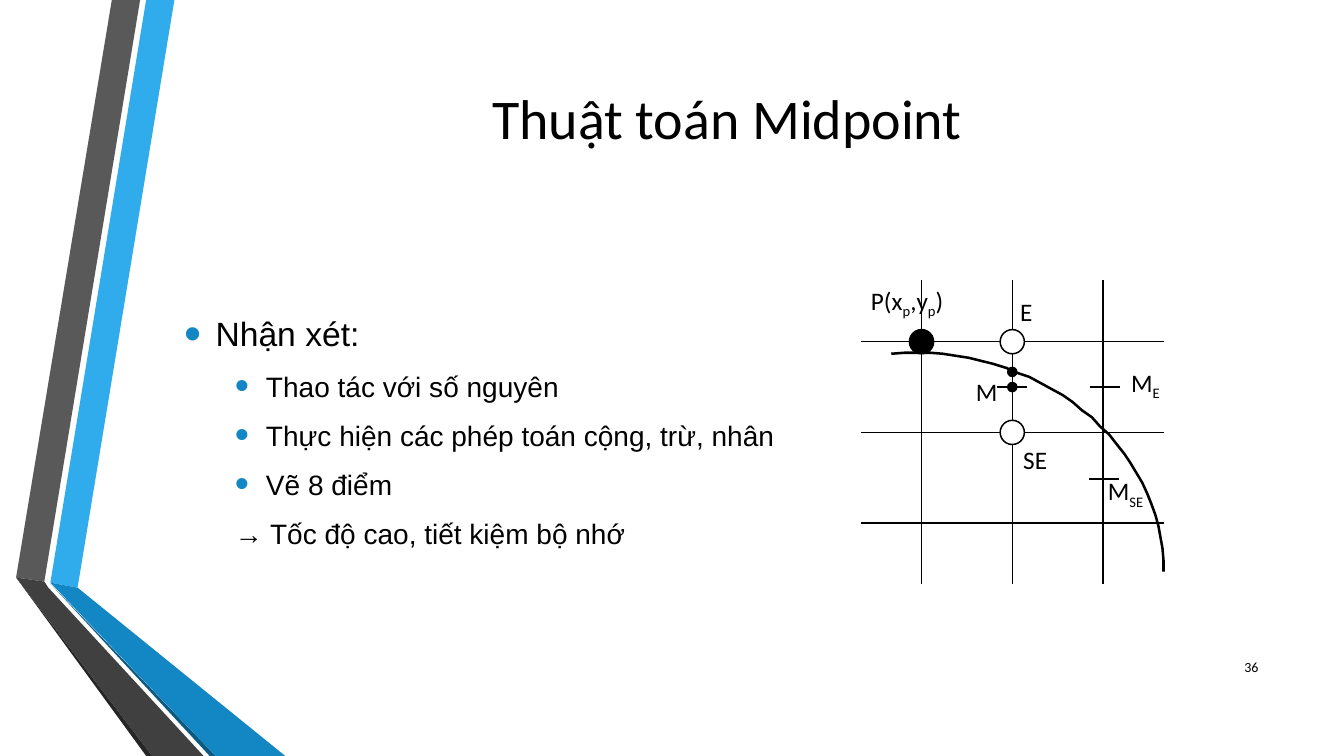
import math
from lxml import etree
from pptx import Presentation
from pptx.dml.color import RGBColor
from pptx.enum.shapes import MSO_CONNECTOR, MSO_SHAPE
from pptx.enum.text import MSO_ANCHOR, PP_ALIGN
from pptx.oxml.ns import qn
from pptx.util import Pt

PX = 9144  # 100 px to the inch
LEFT, MID, RIGHT = PP_ALIGN.LEFT, PP_ALIGN.CENTER, PP_ALIGN.RIGHT
TOP, HALF = MSO_ANCHOR.TOP, MSO_ANCHOR.MIDDLE
OVAL, LINE = MSO_SHAPE.OVAL, MSO_CONNECTOR.STRAIGHT
INK = {
    "black": "000000", "white": "FFFFFF", "sky": "30ACEC", "blue": "1287C3",
    "navy": "0C5A82", "grey": "595959", "dark": "404040", "coal": "262626",
}
RGB = {name: RGBColor.from_string(code) for name, code in INK.items()}

deck = Presentation()
deck.slide_width, deck.slide_height = 1333 * PX, 750 * PX
slide = deck.slides.add_slide(deck.slide_layouts[6])
shapes = slide.shapes


def text(box, rows, size=18, font="Calibri", align=LEFT, anchor=TOP, wrap=True):
    """Each row is (words, size, indent, hang, bullet); |x| in words sets x as a subscript."""
    frame = shapes.add_textbox(*[n * PX for n in box]).text_frame
    frame.word_wrap, frame.vertical_anchor = wrap, anchor
    if isinstance(rows, str):
        rows = [(rows, size, 0, 0, False)]
    for i, (words, high, indent, hang, dot) in enumerate(rows):
        para = frame.paragraphs[0] if i == 0 else frame.add_paragraph()
        para.alignment = align
        if len(rows) > 1:
            para.space_after = Pt(6)
            if i:
                para.space_before = Pt(5)
        props = para._p.get_or_add_pPr()
        props.set("marL", str(indent * PX))
        props.set("indent", str(-hang * PX))
        if dot:
            tint = etree.SubElement(props, qn("a:buClr"))
            etree.SubElement(tint, qn("a:srgbClr"), val=INK["blue"])
            etree.SubElement(props, qn("a:buSzPct"), val="145000")
            etree.SubElement(props, qn("a:buFont"), typeface="Arial")
            etree.SubElement(props, qn("a:buChar"), char="•")
        for j, part in enumerate(words.split("|")):
            if not part:
                continue
            run = para.add_run()
            run.text = part
            run.font.size, run.font.name = Pt(high), font
            run.font.color.rgb = RGB["black"]
            if j % 2:
                run._r.get_or_add_rPr().set("baseline", "-25000")


def paint(shape, fill=None, width=0):
    shape.shadow.inherit = False
    if fill:
        shape.fill.solid()
        shape.fill.fore_color.rgb = RGB[fill]
    else:
        shape.fill.background()
    if width:
        shape.line.color.rgb = RGB["black"]
        shape.line.width = Pt(width)
    else:
        shape.line.fill.background()


# Ribbon on the left edge
bands = [
    ("sky", [(50, 578), (77, 583), (173, 0), (145, 0)]),
    ("grey", [(139, 0), (111, 0), (16, 573), (44, 577)]),
    ("coal", [(16, 573), (145, 750), (151, 750)]),
    ("navy", [(50, 579), (208, 750), (214, 750)]),
    ("blue", [(50, 578), (214, 750), (283, 750), (77, 583)]),
    ("dark", [(202, 750), (48, 583), (44, 577), (16, 573), (151, 750)]),
]
for fill, spots in bands:
    path = shapes.build_freeform(*spots[0], scale=PX)
    path.add_line_segments(spots[1:], close=True)
    paint(path.convert_to_shape(), fill)

# Title, remarks and page number
text((173, 20, 1096, 192), "Thuật toán Midpoint", size=40, align=MID, anchor=HALF)
text((173, 306, 679, 260), [
    ("Nhận xét:", 24, 31, 31, True),
    ("Thao tác với số nguyên", 20, 81, 31, True),
    ("Thực hiện các phép toán cộng, trừ, nhân", 20, 81, 31, True),
    ("Vẽ 8 điểm", 20, 81, 31, True),
    ("→ Tốc độ cao, tiết kiệm bộ nhớ", 20, 50, 0, False),
], font="Arial")
text((1198, 642, 60, 40), "36", size=10, align=RIGHT, anchor=HALF)

# Pixel grid and midpoint ticks
cols = [914 + 90 * i for i in range(3)]
rows = [339 + 90 * i for i in range(3)]
lines = [(x, 278, x, 579) for x in cols]
lines += [(854, y, 1154, y) for y in rows]
lines += [(x, y, x + 30, y) for x, y in [(989, 384), (1081, 384), (1080, 475)]]
for ends in lines:
    rule = shapes.add_connector(LINE, *[n * PX for n in ends])
    rule.line.color.rgb = RGB["black"]
    rule.line.width = Pt(1.08)
    etree.SubElement(rule._element.spPr, qn("a:effectLst"))

# Pixels P, E, SE and the small dots on the middle column
spots = [
    (cols[0], rows[0], 24, "black"), (cols[1], rows[0], 24, "white"),
    (cols[1], rows[1], 24, "white"), (cols[1], 384, 9, "black"),
    (cols[1], 369, 9, "black"),
]
for x, y, wide, fill in spots:
    place = (x - wide / 2, y - wide / 2, wide, wide)
    paint(shapes.add_shape(OVAL, *[int(n * PX) for n in place]), fill, 1.08)

# Circle arc, from the right end up and just past the top
turns = [math.radians(95.3 * i / 32) for i in range(33)]
arc = [(907 + 247 * math.cos(t), 567 - 217 * math.sin(t)) for t in turns]
path = shapes.build_freeform(*arc[0], scale=PX)
path.add_line_segments(arc[1:], close=False)
paint(path.convert_to_shape(), width=1.8)

# Point labels
labels = [
    ("P(x|p|,y|p|)", 854, 278, 101), ("E", 1002, 289, 34), ("SE", 1005, 436, 48),
    ("M", 958, 368, 41), ("M|E|", 1112, 359, 50), ("M|SE|", 1089, 467, 59),
]
for words, x, y, wide in labels:
    text((x, y, wide, 40), words, wrap=False)

deck.save("out.pptx")
